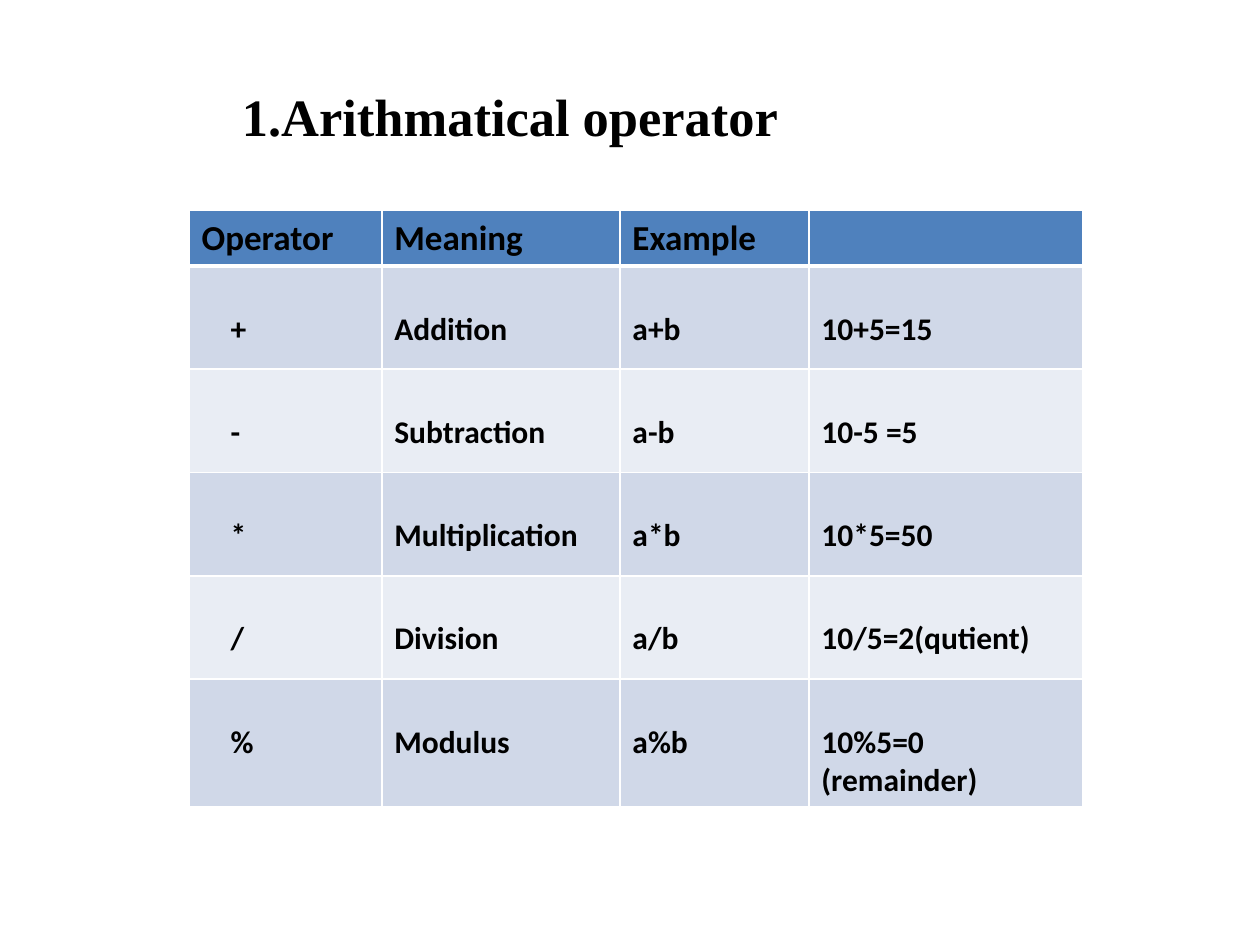
"""Build a slide with a table of arithmetic operators."""
from typing import NamedTuple

from lxml import etree
from pptx import Presentation
from pptx.dml.color import RGBColor
from pptx.enum.text import MSO_ANCHOR, PP_ALIGN
from pptx.oxml.ns import qn
from pptx.util import Inches, Pt

LEFT = PP_ALIGN.LEFT
TOP = MSO_ANCHOR.TOP
BLACK, WHITE, BLUE = "000000", "FFFFFF", "4F81BD"
BANDS = ("D0D8E8", "E9EDF4")
COL_WIDTHS = (1.53, 1.89, 1.5, 2.17)
HEADER_H, ROW_H = 0.42, 0.82
HEADERS = ("Operator", "Meaning", "Example", "")


class Operator(NamedTuple):
    symbol: str
    meaning: str
    example: str
    result: str


OPERATORS = (
    Operator("+", "Addition", "a+b", "10+5=15"),
    Operator("-", "Subtraction", "a-b", "10-5 =5"),
    Operator("*", "Multiplication", "a*b", "10*5=50"),
    Operator("/", "Division", "a/b", "10/5=2(qutient)"),
    Operator("%", "Modulus", "a%b", "10%5=0 (remainder)"),
)


def rgb(color: str) -> RGBColor:
    return RGBColor.from_string(color)


def write(tf, text: str, *, size: float, font: str = "Calibri", color: str = BLACK) -> None:
    p = tf.paragraphs[0]
    p.alignment = LEFT
    r = p.add_run()
    r.text = text
    r.font.size = Pt(size)
    r.font.name = font
    r.font.bold = True
    r.font.color.rgb = rgb(color)


def add_borders(cell, *, top: float = 1, bottom: float = 1) -> None:
    tc_pr = cell._tc.get_or_add_tcPr()
    for side, width in (("L", 1), ("R", 1), ("T", top), ("B", bottom)):
        ln = etree.SubElement(tc_pr, qn(f"a:ln{side}"), w=str(Pt(width)))
        fill = etree.SubElement(ln, qn("a:solidFill"))
        etree.SubElement(fill, qn("a:srgbClr"), val=WHITE)


def fill_cell(cell, text: str, color: str, *, size: float, top: float = 0.05,
              left: float = 0.1) -> None:
    cell.fill.solid()
    cell.fill.fore_color.rgb = rgb(color)
    cell.margin_top, cell.margin_left = Inches(top), Inches(left)
    cell.vertical_anchor = TOP
    if text:
        write(cell.text_frame, text, size=size)


def add_title(slide, text: str) -> None:
    sp = slide.shapes.title
    sp.left, sp.top, sp.width, sp.height = (Inches(v) for v in (1.92, 0.67, 4.87, 0.5))
    tf = sp.text_frame
    tf.margin_left = tf.margin_top = tf.margin_right = tf.margin_bottom = 0
    tf.vertical_anchor = TOP
    tf.word_wrap = True
    write(tf, text, size=30, font="Times New Roman")


def add_operator_table(slide, operators: tuple[Operator, ...]) -> None:
    height = HEADER_H + ROW_H * len(operators)
    table = slide.shapes.add_table(
        len(operators) + 1, len(COL_WIDTHS), Inches(1.5), Inches(1.67),
        Inches(sum(COL_WIDTHS)), Inches(height)).table
    for col, width in zip(table.columns, COL_WIDTHS):
        col.width = Inches(width)
    for i, row in enumerate(table.rows):
        row.height = Inches(ROW_H if i else HEADER_H)
    for j, text in enumerate(HEADERS):
        cell = table.cell(0, j)
        add_borders(cell, bottom=3)
        fill_cell(cell, text, BLUE, size=20)
    for i, operator in enumerate(operators):
        for j, text in enumerate(operator):
            cell = table.cell(i + 1, j)
            add_borders(cell, top=1 if i else 3)
            fill_cell(cell, text, BANDS[i % 2], size=18, top=0.35,
                      left=0.1 if j else 0.33)


def main() -> None:
    prs = Presentation()
    prs.slide_width, prs.slide_height = Inches(10), Inches(7.5)
    slide = prs.slides.add_slide(prs.slide_layouts[5])
    add_title(slide, "1.Arithmatical operator")
    add_operator_table(slide, OPERATORS)
    prs.save("out.pptx")


if __name__ == "__main__":
    main()
